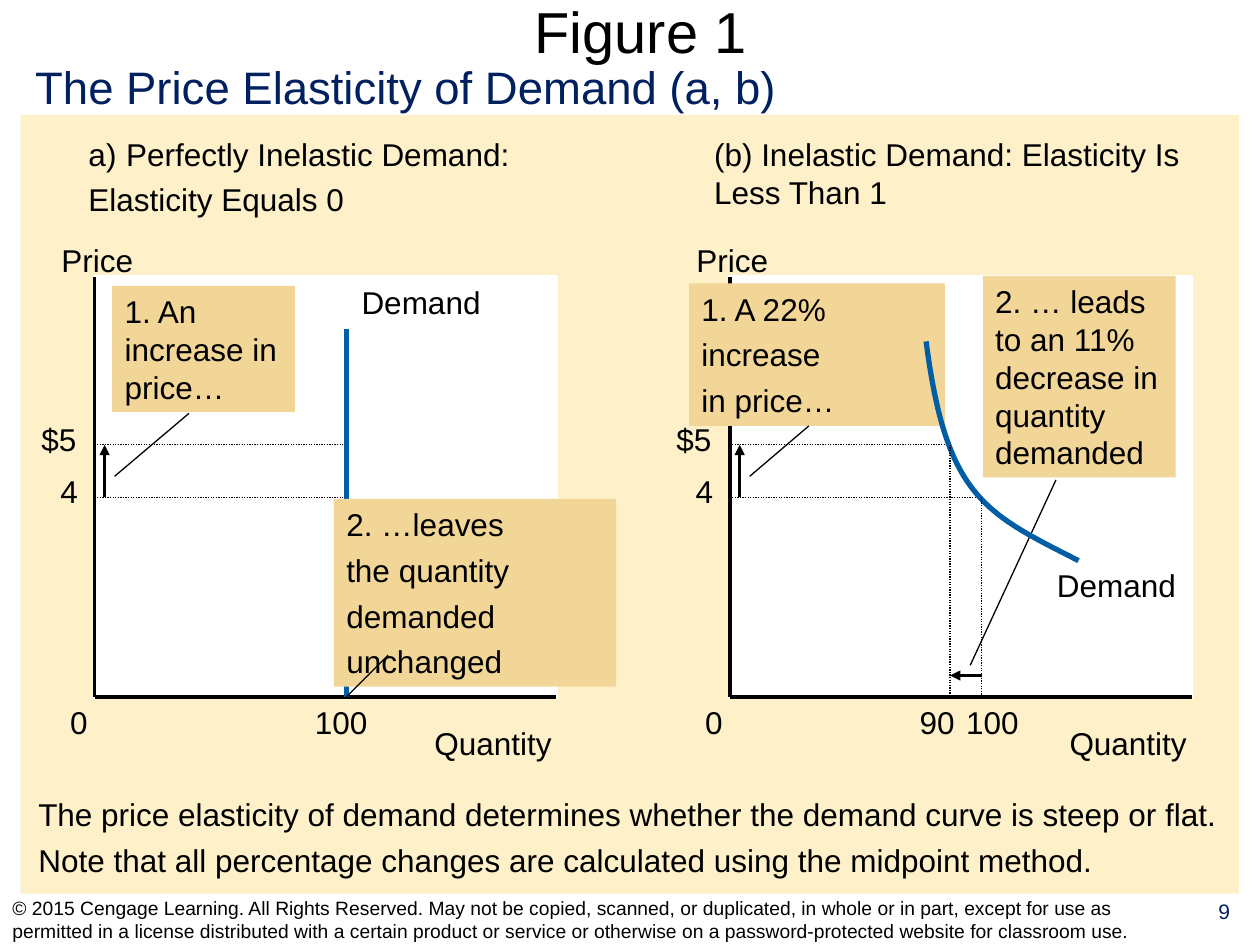
from dataclasses import dataclass

from pptx import Presentation
from pptx.dml.color import RGBColor
from pptx.enum.dml import MSO_LINE
from pptx.enum.shapes import MSO_CONNECTOR, MSO_SHAPE
from pptx.enum.text import MSO_ANCHOR, PP_ALIGN
from pptx.oxml.ns import qn
from pptx.util import Pt

COLORS = {
    "ink": "000000",
    "navy": "002060",
    "curve": "005EA4",
    "backdrop": "FEF0C8",
    "plot": "FFFFFF",
    "callout": "F2D698",
}
FONT = "Arial"

PLOT_TOP, PLOT_WIDTH, PLOT_HEIGHT = 158.4, 264, 240
PLOT_BOTTOM = PLOT_TOP + PLOT_HEIGHT
LABEL_HEIGHT = 29
HUNDRED_WIDTH = 50
HEADING_TOP = 73.5
HIGH_PRICE, LOW_PRICE = 254.2, 284.2


@dataclass
class Panel:
    axis_x: float
    high_price_quantity: float
    low_price_quantity: float


@dataclass
class Callout:
    left: float
    top: float
    width: float
    height: float
    lines: list[str]
    leader_start: tuple[float, float]
    leader_end: tuple[float, float]


PANEL_A = Panel(54, 198, 198)
PANEL_B = Panel(416.9, 542.9, 560.9)

CALLOUTS_A = [
    Callout(64.1, 163.4, 104.4, 72, ["1. An increase in price…"], (65.5, 272.2), (108, 236.2)),
    Callout(190.8, 285.1, 161.3, 107.3, ["2. …leaves", "the quantity", "demanded", "unchanged"],
            (198, 398.2), (221.8, 374.4)),
]
CALLOUTS_B = [
    Callout(393.8, 162, 146.2, 81.4, ["1. A 22%", "increase", "in price…"],
            (428.4, 272.2), (462.2, 243.4)),
    Callout(561.6, 157.7, 110.2, 115.2, ["2. … leads to an 11% decrease in quantity demanded"],
            (554.4, 380.2), (603.4, 274.3)),
]
INELASTIC_CURVE = [(529.2, 195.1), (540.7, 283.7), (562.3, 293), (616.3, 320.4)]


def color(name: str) -> RGBColor:
    return RGBColor.from_string(COLORS[name])


def write(frame, *lines: str, size: float = 18, ink: str = "ink", align=PP_ALIGN.LEFT,
          anchor=MSO_ANCHOR.TOP, wrap: bool = True, gap: float = 4.5) -> None:
    """Fill a text frame with one paragraph per line, spaced by gap."""
    frame.word_wrap = wrap
    frame.vertical_anchor = anchor
    for index, line in enumerate(lines):
        paragraph = frame.add_paragraph() if index else frame.paragraphs[0]
        paragraph.alignment = align
        paragraph.space_before = Pt(gap if index else 0)
        run = paragraph.add_run()
        run.text = line
        run.font.name, run.font.size = FONT, Pt(size)
        run.font.color.rgb = color(ink)


def add_text(slide, left: float, top: float, width: float, height: float, *lines: str, **style):
    box = slide.shapes.add_textbox(Pt(left), Pt(top), Pt(width), Pt(height))
    write(box.text_frame, *lines, **style)
    return box


def add_label(slide, left: float, top: float, width: float, words: str) -> None:
    add_text(slide, left, top, width, LABEL_HEIGHT, words, wrap=False)


def add_block(slide, left: float, top: float, width: float, height: float, fill: str):
    block = slide.shapes.add_shape(MSO_SHAPE.RECTANGLE, Pt(left), Pt(top), Pt(width), Pt(height))
    block.shadow.inherit = False
    block.fill.solid()
    block.fill.fore_color.rgb = color(fill)
    block.line.fill.background()
    return block


def add_line(slide, start: tuple[float, float], end: tuple[float, float], width: float = 0.75,
             ink: str = "ink", dotted: bool = False, arrow: bool = False) -> None:
    line = slide.shapes.add_connector(MSO_CONNECTOR.STRAIGHT, *map(Pt, start), *map(Pt, end))
    line.line.width = Pt(width)
    line.line.color.rgb = color(ink)
    if dotted:
        line.line.dash_style = MSO_LINE.ROUND_DOT
    properties = line._element.spPr
    if arrow:
        outline = line.line._get_or_add_ln()
        outline.append(outline.makeelement(qn("a:tailEnd"), {"type": "triangle"}))
    properties.append(properties.makeelement(qn("a:effectLst"), {}))


def add_panel(slide, panel: Panel) -> None:
    """Draw the plot area, axes, both price levels and the price rise."""
    x = panel.axis_x
    plot = add_block(slide, x, PLOT_TOP, PLOT_WIDTH, PLOT_HEIGHT, "plot")
    plot.line.color.rgb = color("plot")
    plot.line.width = Pt(2)
    origin = (x, PLOT_BOTTOM)
    add_line(slide, (x, PLOT_TOP), origin, width=2.25)
    add_line(slide, origin, (x + PLOT_WIDTH, PLOT_BOTTOM), width=2.25)
    add_label(slide, x - 26, 134, 60.5, "Price")
    add_label(slide, x + 187.2, 410.4, 86.4, "Quantity")
    add_label(slide, x - 21, PLOT_BOTTOM, 24.5, "0")
    add_line(slide, (x, HIGH_PRICE), (panel.high_price_quantity, HIGH_PRICE), dotted=True)
    add_line(slide, (x, LOW_PRICE), (panel.low_price_quantity, LOW_PRICE), dotted=True)
    add_label(slide, x - 37.5, HIGH_PRICE - 18, 34.5, "$5")
    add_label(slide, x - 26.5, LOW_PRICE - 18, 24.5, "4")
    add_line(slide, (x + 5.8, LOW_PRICE), (x + 5.8, HIGH_PRICE), width=1.5, arrow=True)


def add_callout(slide, callout: Callout) -> None:
    block = add_block(slide, callout.left, callout.top, callout.width, callout.height, "callout")
    write(block.text_frame, *callout.lines)
    add_line(slide, callout.leader_start, callout.leader_end)


def add_bezier(slide, controls: list[tuple[float, float]], steps: int = 40) -> None:
    """Draw a cubic Bezier curve as an open outline."""
    points = []
    for step in range(steps + 1):
        t = step / steps
        weights = ((1 - t) ** 3, 3 * t * (1 - t) ** 2, 3 * t ** 2 * (1 - t), t ** 3)
        points.append(tuple(Pt(sum(w * c[axis] for w, c in zip(weights, controls)))
                            for axis in (0, 1)))
    builder = slide.shapes.build_freeform(*points[0])
    builder.add_line_segments(points[1:], close=False)
    curve = builder.convert_to_shape()
    curve.shadow.inherit = False
    curve.fill.background()
    curve.line.color.rgb = color("curve")
    curve.line.width = Pt(3)


def number_heading(paragraph) -> None:
    """Number the paragraph a) with a hanging indent."""
    properties = paragraph._p.get_or_add_pPr()
    properties.set("marL", str(Pt(21.5)))
    properties.set("indent", str(-Pt(21.5)))
    properties.append(properties.makeelement(qn("a:buAutoNum"), {"type": "alphaLcParenR"}))


def main() -> None:
    presentation = Presentation()
    presentation.slide_width, presentation.slide_height = Pt(720), Pt(540)
    slide = presentation.slides.add_slide(presentation.slide_layouts[5])

    title = slide.shapes.title
    title.left, title.top, title.width, title.height = Pt(25.2), Pt(0), Pt(681.8), Pt(35.3)
    write(title.text_frame, "Figure 1", size=33, align=PP_ALIGN.CENTER, anchor=MSO_ANCHOR.MIDDLE)
    add_block(slide, 11.8, 65.6, 696.2, 445, "backdrop")
    add_text(slide, 13, 30.2, 438.5, 39, "The Price Elasticity of Demand (a, b)",
             size=26, ink="navy", wrap=False)
    add_text(slide, 679, 509.8, 41, 29.5, "9", size=12, ink="navy", align=PP_ALIGN.CENTER)
    add_text(slide, 0, 511.2, 678.2, 28.8,
             "© 2015 Cengage Learning. All Rights Reserved. May not be copied, scanned, or "
             "duplicated, in whole or in part, except for use as permitted in a license "
             "distributed with a certain product or service or otherwise on a "
             "password-protected website for classroom use.",
             size=11, anchor=MSO_ANCHOR.MIDDLE)

    heading_a = add_text(slide, 43.5, HEADING_TOP, 280.8, 55.4,
                         "Perfectly Inelastic Demand:", "Elasticity Equals 0")
    number_heading(heading_a.text_frame.paragraphs[0])
    add_panel(slide, PANEL_A)
    quantity = PANEL_A.low_price_quantity
    add_line(slide, (quantity, PLOT_BOTTOM), (quantity, 188), width=3, ink="curve")
    add_label(slide, 199.5, 158.4, 87, "Demand")
    add_label(slide, 172.8, PLOT_BOTTOM, HUNDRED_WIDTH, "100")
    for callout in CALLOUTS_A:
        add_callout(slide, callout)

    add_text(slide, 401, HEADING_TOP, 299.5, 50.4,
             "(b) Inelastic Demand: Elasticity Is Less Than 1")
    add_panel(slide, PANEL_B)
    for callout in CALLOUTS_B:
        add_callout(slide, callout)
    add_label(slide, 596.9, 319.7, 87, "Demand")
    add_bezier(slide, INELASTIC_CURVE)
    before, after = PANEL_B.low_price_quantity, PANEL_B.high_price_quantity
    add_line(slide, (before, LOW_PRICE), (before, PLOT_BOTTOM), dotted=True)
    add_line(slide, (after, HIGH_PRICE), (after, PLOT_BOTTOM), dotted=True)
    add_label(slide, 545, PLOT_BOTTOM, HUNDRED_WIDTH, "100")
    add_label(slide, 518.4, PLOT_BOTTOM, 34.5, "90")
    add_line(slide, (before, 386), (after, 386), width=1.5, arrow=True)

    add_text(slide, 14.8, 450.7, 688, 55.4,
             "The price elasticity of demand determines whether the demand curve is steep or flat.",
             "Note that all percentage changes are calculated using the midpoint method.",
             wrap=False)
    presentation.save("out.pptx")


if __name__ == "__main__":
    main()
